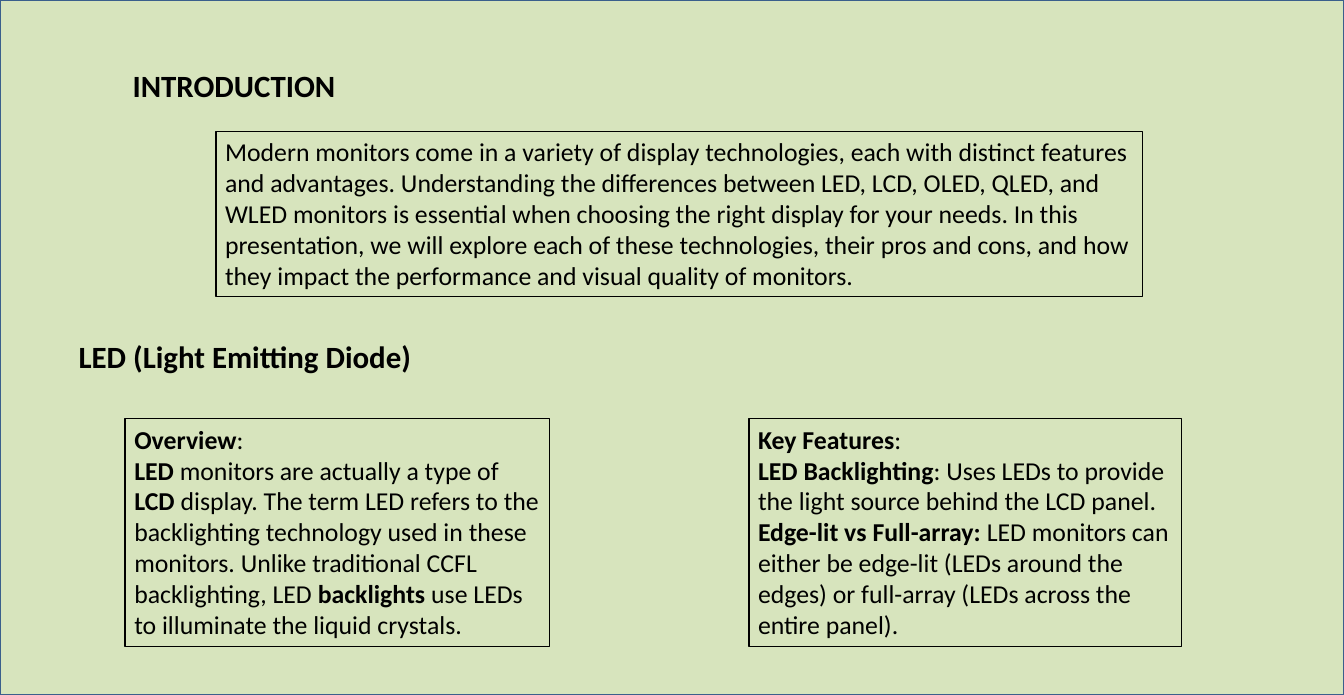
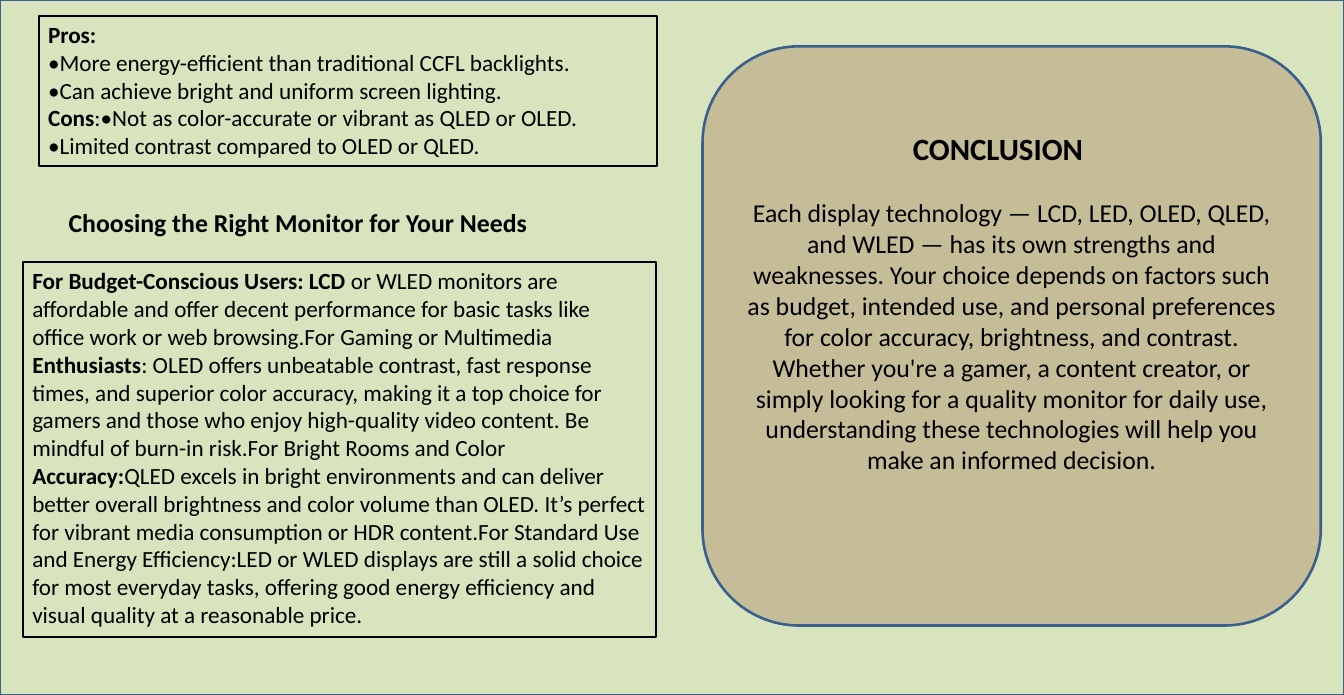
from dataclasses import dataclass

from pptx import Presentation
from pptx.dml.color import RGBColor
from pptx.enum.shapes import MSO_SHAPE
from pptx.enum.text import MSO_ANCHOR, MSO_AUTO_SIZE, PP_ALIGN
from pptx.shapes.autoshape import Shape
from pptx.slide import Slide
from pptx.text.text import TextFrame
from pptx.util import Emu, Pt

RECT = MSO_SHAPE.RECTANGLE
ROUND = MSO_SHAPE.ROUNDED_RECTANGLE
TOP = MSO_ANCHOR.TOP
MIDDLE = MSO_ANCHOR.MIDDLE
LEFT = PP_ALIGN.LEFT
CENTER = PP_ALIGN.CENTER
FIXED = MSO_AUTO_SIZE.NONE
SCALE = 9144
WIDTH, HEIGHT = 1450, 750
TITLE_ONLY = 5


@dataclass(frozen=True)
class Theme:
    font: str = "Calibri"
    ink: str = "000000"
    page: str = "D7E4BD"
    card: str = "C4BD97"
    edge: str = "3A5F8C"
    head: int = 24
    body: int = 20
    small: int = 18
    rim: float = 2


THEME = Theme()


@dataclass(frozen=True)
class Area:
    left: int
    top: int
    width: int
    height: int

    def emu(self) -> tuple[Emu, ...]:
        sides = (self.left, self.top, self.width, self.height)
        return tuple(Emu(side * SCALE) for side in sides)


@dataclass(frozen=True)
class Head:
    text: str
    area: Area
    size: int = THEME.head


@dataclass(frozen=True)
class Panel:
    area: Area
    lines: tuple[str, ...]
    size: int = THEME.body
    rim: float = 1


def color(code: str) -> RGBColor:
    return RGBColor.from_string(code)


def write(frame: TextFrame, lines: tuple[str, ...], size: int,
          align: PP_ALIGN = LEFT, anchor: MSO_ANCHOR = TOP) -> None:
    """Fill a frame; asterisks enclose the bold parts of a line."""
    frame.word_wrap = True
    frame.auto_size = FIXED
    frame.vertical_anchor = anchor
    for index, line in enumerate(lines):
        para = frame.paragraphs[0] if index == 0 else frame.add_paragraph()
        para.alignment = align
        para.font.name = THEME.font
        para.font.size = Pt(size)
        para.font.color.rgb = color(THEME.ink)
        parts = [(text, order % 2 == 1)
                 for order, text in enumerate(line.split("*")) if text]
        mixed = len(parts) > 1
        if not mixed:
            para.font.bold = parts[0][1]
        for text, bold in parts:
            run = para.add_run()
            run.text = text
            if mixed:
                run.font.bold = bold


def draw(slide: Slide, area: Area, line: str, rim: float,
         fill: str | None = None, kind: MSO_SHAPE = RECT) -> Shape:
    shape = slide.shapes.add_shape(kind, *area.emu())
    shape.shadow.inherit = False
    shape.line.color.rgb = color(line)
    shape.line.width = Pt(rim)
    if fill:
        shape.fill.solid()
        shape.fill.fore_color.rgb = color(fill)
    else:
        shape.fill.background()
    return shape


def place(shape: Shape, head: Head) -> None:
    shape.left, shape.top, shape.width, shape.height = head.area.emu()
    write(shape.text_frame, (f"*{head.text}*",), head.size)


def label(slide: Slide, head: Head) -> None:
    place(slide.shapes.add_textbox(*head.area.emu()), head)


def frame(slide: Slide, panel: Panel) -> None:
    shape = draw(slide, panel.area, THEME.ink, panel.rim)
    write(shape.text_frame, panel.lines, panel.size)


def start(deck: Presentation, head: Head, panels: tuple[Panel, ...]) -> Slide:
    slide = deck.slides.add_slide(deck.slide_layouts[TITLE_ONLY])
    title = slide.shapes.title
    back = draw(slide, Area(0, 0, WIDTH, HEIGHT), THEME.edge, THEME.rim, THEME.page)
    title.element.addprevious(back.element)
    place(title, head)
    for panel in panels:
        frame(slide, panel)
    return slide


INTRO = Head("INTRODUCTION", Area(133, 67, 250, 50))
LED = Head("LED (Light Emitting Diode)", Area(75, 359, 517, 50))
CHOICE = Head("Choosing the Right Monitor for Your Needs",
              Area(64, 218, 567, 44), THEME.body)
END = Head("CONCLUSION", Area(975, 135, 333, 50))

BASICS = (
    Panel(Area(233, 142, 1000, 178), (
        "Modern monitors come in a variety of display technologies, each with "
        "distinct features and advantages. Understanding the differences between "
        "LED, LCD, OLED, QLED, and WLED monitors is essential when choosing the "
        "right display for your needs. In this presentation, we will explore each "
        "of these technologies, their pros and cons, and how they impact the "
        "performance and visual quality of monitors.",
    )),
    Panel(Area(135, 452, 458, 246), (
        "*Overview*:",
        "*LED *monitors are actually a type of *LCD* display. The term LED refers "
        "to the backlighting technology used in these monitors. Unlike traditional "
        "CCFL backlighting, LED *backlights* use LEDs to illuminate the liquid "
        "crystals.",
    )),
    Panel(Area(808, 452, 467, 246), (
        "*Key Features*:",
        "*LED Backlighting*: Uses LEDs to provide the light source behind the LCD "
        "panel.",
        "*Edge-lit vs Full-array: *LED monitors can either be edge-lit (LEDs around "
        "the edges) or full-array (LEDs across the entire panel).",
    )),
)

ADVICE = (
    Panel(Area(42, 17, 667, 162), (
        "*Pros:*",
        "•More energy-efficient than traditional CCFL backlights.",
        "•Can achieve bright and uniform screen lighting.",
        "*Cons*:•Not as color-accurate or vibrant as QLED or OLED.",
        "•Limited contrast compared to OLED or QLED.",
    ), THEME.small, 1.5),
    Panel(Area(25, 283, 683, 404), (
        "*For Budget-Conscious Users: LCD *or WLED monitors are affordable and "
        "offer decent performance for basic tasks like office work or web "
        "browsing.For Gaming or Multimedia *Enthusiasts*: OLED offers unbeatable "
        "contrast, fast response times, and superior color accuracy, making it a "
        "top choice for gamers and those who enjoy high-quality video content. Be "
        "mindful of burn-in risk.For Bright Rooms and Color *Accuracy:*QLED excels "
        "in bright environments and can deliver better overall brightness and "
        "color volume than OLED. It’s perfect for vibrant media consumption or HDR "
        "content.For Standard Use and Energy Efficiency:LED or WLED displays are "
        "still a solid choice for most everyday tasks, offering good energy "
        "efficiency and visual quality at a reasonable price.",
    ), THEME.small, 1.5),
)

CLOSING = (
    "Each display technology — LCD, LED, OLED, QLED, and WLED — has its own "
    "strengths and weaknesses. Your choice depends on factors such as budget, "
    "intended use, and personal preferences for color accuracy, brightness, and "
    "contrast. Whether you're a gamer, a content creator, or simply looking for a "
    "quality monitor for daily use, understanding these technologies will help "
    "you make an informed decision."
)


def main() -> None:
    deck = Presentation()
    deck.slide_width = Emu(WIDTH * SCALE)
    deck.slide_height = Emu(HEIGHT * SCALE)

    basics = start(deck, INTRO, BASICS)
    label(basics, LED)

    advice = start(deck, CHOICE, ADVICE)
    card = draw(advice, Area(758, 50, 667, 625), THEME.edge, THEME.rim,
                THEME.card, ROUND)
    write(card.text_frame, (CLOSING,), THEME.body, CENTER, MIDDLE)
    label(advice, END)

    deck.save("out.pptx")


if __name__ == "__main__":
    main()
